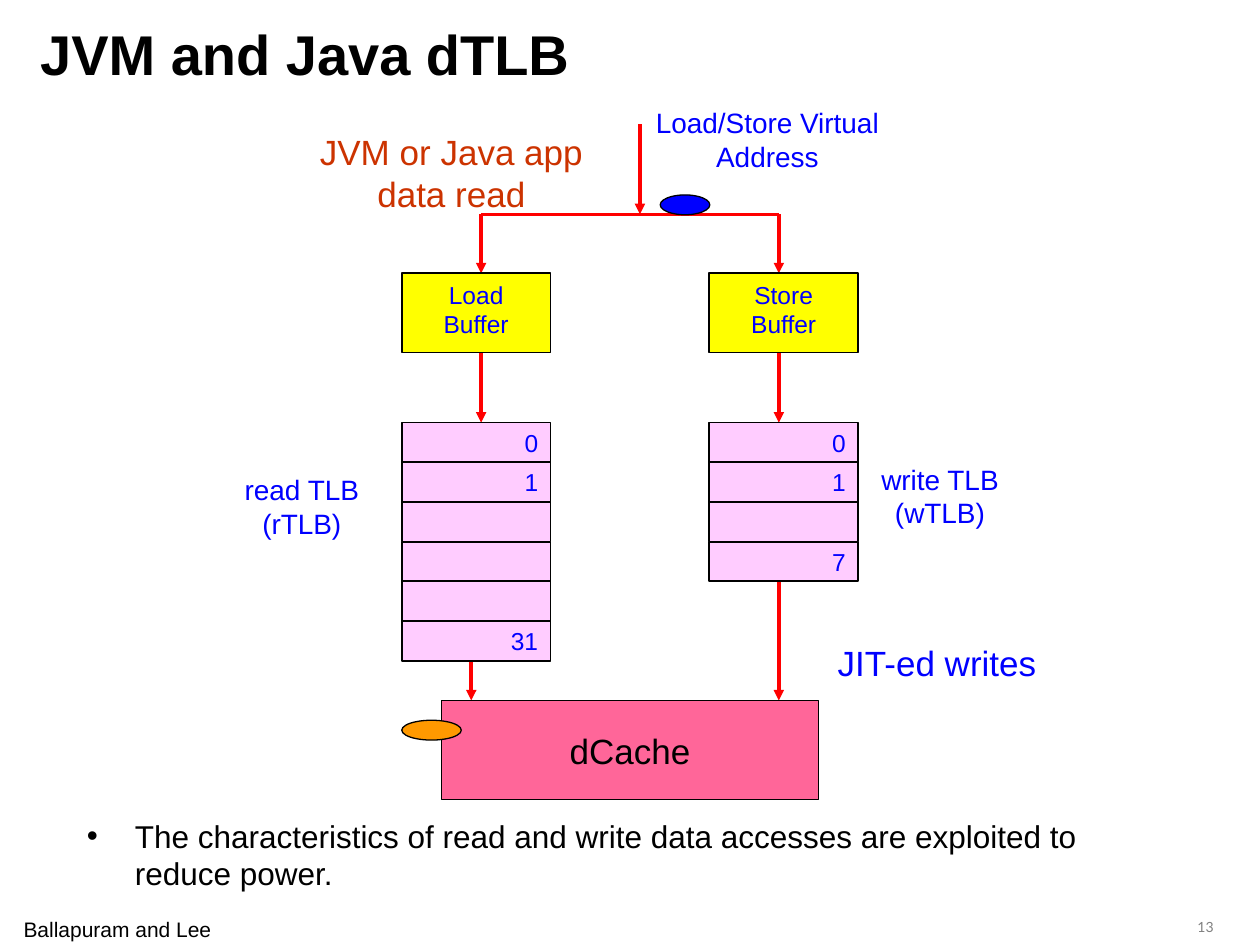
from typing import NamedTuple

from lxml import etree
from pptx import Presentation
from pptx import util as u
from pptx.dml.color import RGBColor
from pptx.enum import shapes, text
from pptx.oxml import ns

BLACK = RGBColor(0x00, 0x00, 0x00)
BLUE = RGBColor(0x00, 0x00, 0xFF)
RED = RGBColor(0xFF, 0x00, 0x00)
RUST = RGBColor(0xCC, 0x33, 0x00)
YELLOW = RGBColor(0xFF, 0xFF, 0x00)
LILAC = RGBColor(0xFF, 0xCC, 0xFF)
PINK = RGBColor(0xFF, 0x66, 0x99)
ORANGE = RGBColor(0xFF, 0x99, 0x00)
GREY = RGBColor(0x80, 0x80, 0x80)

LEFT, CENTER, RIGHT = text.PP_ALIGN.LEFT, text.PP_ALIGN.CENTER, text.PP_ALIGN.RIGHT
TOP, MIDDLE = text.MSO_ANCHOR.TOP, text.MSO_ANCHOR.MIDDLE
RECTANGLE, OVAL = shapes.MSO_SHAPE.RECTANGLE, shapes.MSO_SHAPE.OVAL

# Columns and levels of the diagram, in centimetres
READ_LEFT, WRITE_LEFT, BLOCK_WIDTH = 8.1, 14.3, 3
READ_X, WRITE_X, ADDRESS_X, READ_EXIT_X = 9.7, 15.7, 12.9, 9.5
BUS_Y, BUFFER_TOP, BUFFER_HEIGHT = 4.32, 5.51, 1.6
BUFFER_BOTTOM = BUFFER_TOP + BUFFER_HEIGHT
TLB_TOP, ROW_HEIGHT, CACHE_TOP = 8.52, 0.8, 14.12
READ_ROWS = ("0", "1", "", "", "", "31")
WRITE_ROWS = ("0", "1", "", "7")


class Area(NamedTuple):
    left: float
    top: float
    width: float
    height: float


class Style(NamedTuple):
    size: float
    color: RGBColor
    align: text.PP_ALIGN = CENTER
    anchor: text.MSO_ANCHOR = TOP
    font: str = "Arial"
    bold: bool = False
    inset: tuple[float, float] = (0.25, 0.13)


class Block(NamedTuple):
    area: Area
    fill: RGBColor
    words: str = ""
    style: Style = Style(14, BLUE)
    shape: shapes.MSO_SHAPE = RECTANGLE
    line_width: float = 1


class Label(NamedTuple):
    words: str
    area: Area
    style: Style
    wrap: bool = True


class Wire(NamedTuple):
    x1: float
    y1: float
    x2: float
    y2: float
    arrow: bool = True


def cm_lengths(values) -> list[u.Length]:
    return [u.Cm(value) for value in values]


def move(shape, area: Area) -> None:
    shape.left, shape.top, shape.width, shape.height = cm_lengths(area)


def write(frame, words: str, style: Style, wrap: bool = True) -> None:
    """Fill a text frame and format all its paragraphs alike."""
    frame.text = words
    frame.word_wrap = wrap
    frame.auto_size = text.MSO_AUTO_SIZE.NONE
    frame.vertical_anchor = style.anchor
    across, down = cm_lengths(style.inset)
    frame.margin_left = frame.margin_right = across
    frame.margin_top = frame.margin_bottom = down
    for para in frame.paragraphs:
        para.alignment = style.align
        para.space_before = u.Pt(0)
        for span in para.runs:
            span.font.name, span.font.size = style.font, u.Pt(style.size)
            span.font.bold, span.font.color.rgb = style.bold, style.color


def add_block(page, block: Block) -> None:
    box = page.shapes.add_shape(block.shape, *cm_lengths(block.area))
    box.shadow.inherit = False
    box.fill.solid()
    box.fill.fore_color.rgb = block.fill
    box.line.color.rgb = BLACK
    box.line.width = u.Pt(block.line_width)
    if block.words:
        write(box.text_frame, block.words, block.style)


def add_label(page, label: Label) -> None:
    box = page.shapes.add_textbox(*cm_lengths(label.area))
    write(box.text_frame, label.words, label.style, label.wrap)


def add_wire(page, wire: Wire) -> None:
    ends = cm_lengths((wire.x1, wire.y1, wire.x2, wire.y2))
    line = page.shapes.add_connector(shapes.MSO_CONNECTOR.STRAIGHT, *ends)
    line.line.color.rgb = RED
    line.line.width = u.Pt(2)
    if wire.arrow:
        outline = line.line._get_or_add_ln()
        etree.SubElement(outline, ns.qn("a:tailEnd"), type="triangle")
    etree.SubElement(line._element.spPr, ns.qn("a:effectLst"))


def add_bullet(para, indent: float) -> None:
    properties = para._p.get_or_add_pPr()
    properties.set("marL", str(u.Cm(indent)))
    properties.set("indent", str(-u.Cm(indent)))
    etree.SubElement(properties, ns.qn("a:buChar"), char="•")


def tlb_rows(left: float, entries: tuple[str, ...]) -> list[Block]:
    style = Style(14, BLUE, RIGHT, MIDDLE, inset=(0.25, 0))
    return [
        Block(Area(left, TLB_TOP + row * ROW_HEIGHT, BLOCK_WIDTH, ROW_HEIGHT),
              LILAC, entry, style)
        for row, entry in enumerate(entries)
    ]


WIRES = [
    Wire(ADDRESS_X, 2.51, ADDRESS_X, BUS_Y),
    Wire(READ_X, BUS_Y, WRITE_X, BUS_Y, arrow=False),
    *(Wire(x, start, x, end)
      for x in (READ_X, WRITE_X)
      for start, end in ((BUS_Y, BUFFER_TOP), (BUFFER_BOTTOM, TLB_TOP))),
    *(Wire(x, TLB_TOP + len(rows) * ROW_HEIGHT, x, CACHE_TOP)
      for x, rows in ((READ_EXIT_X, READ_ROWS), (WRITE_X, WRITE_ROWS))),
]

BLOCKS = [
    *(Block(Area(left, BUFFER_TOP, BLOCK_WIDTH, BUFFER_HEIGHT), YELLOW, words)
      for left, words in ((READ_LEFT, "Load\nBuffer"), (WRITE_LEFT, "Store\nBuffer"))),
    *tlb_rows(READ_LEFT, READ_ROWS),
    *tlb_rows(WRITE_LEFT, WRITE_ROWS),
    Block(Area(8.9, CACHE_TOP, 7.6, 2), PINK, "dCache", Style(20, BLACK, anchor=MIDDLE)),
    Block(Area(13.31, 3.93, 1, 0.4), BLUE, shape=OVAL, line_width=0.75),
    Block(Area(READ_LEFT, 14.52, 1.2, 0.4), ORANGE, shape=OVAL, line_width=0.75),
]

NOTE = Style(16, BLUE, inset=(0, 0))
BIG_NOTE = NOTE._replace(size=20)
LABELS = [
    Label("Load/Store Virtual Address", Area(12.83, 2.13, 5.28, 1.35), NOTE),
    Label("read TLB (rTLB)", Area(4.7, 9.53, 2.77, 1.35), NOTE),
    Label("write TLB (wTLB)", Area(17.3, 9.32, 3.3, 1.35), NOTE),
    Label("JIT-ed writes", Area(16.87, 12.93, 4.04, 0.84), BIG_NOTE, wrap=False),
    Label("JVM or Java app data read", Area(6.1, 2.64, 6, 1.7),
          BIG_NOTE._replace(color=RUST)),
    Label("Ballapuram and Lee", Area(0.48, 18.47, 3.78, 0.51),
          Style(12, BLACK, inset=(0, 0)), wrap=False),
    Label("13", Area(23.04, 18.39, 1.68, 0.43), Style(8, GREY, RIGHT, font="Lato")),
]


def main() -> None:
    deck = Presentation()
    deck.slide_width, deck.slide_height = u.Cm(25.4), u.Cm(19.05)
    page = deck.slides.add_slide(deck.slide_layouts[1])

    title, body = page.shapes.title, page.placeholders[1]
    move(title, Area(0.56, 0.2, 24.33, 1.73))
    write(title.text_frame, "JVM and Java dTLB",
          Style(32, BLACK, LEFT, MIDDLE, bold=True))
    move(body, Area(1.5, 16.33, 20.98, 1.65))
    write(body.text_frame,
          "The characteristics of read and write data accesses are exploited "
          "to reduce power.", Style(18, BLACK, LEFT))
    add_bullet(body.text_frame.paragraphs[0], 0.97)

    for wire in WIRES:
        add_wire(page, wire)
    for block in BLOCKS:
        add_block(page, block)
    for label in LABELS:
        add_label(page, label)
    deck.save("out.pptx")


if __name__ == "__main__":
    main()
